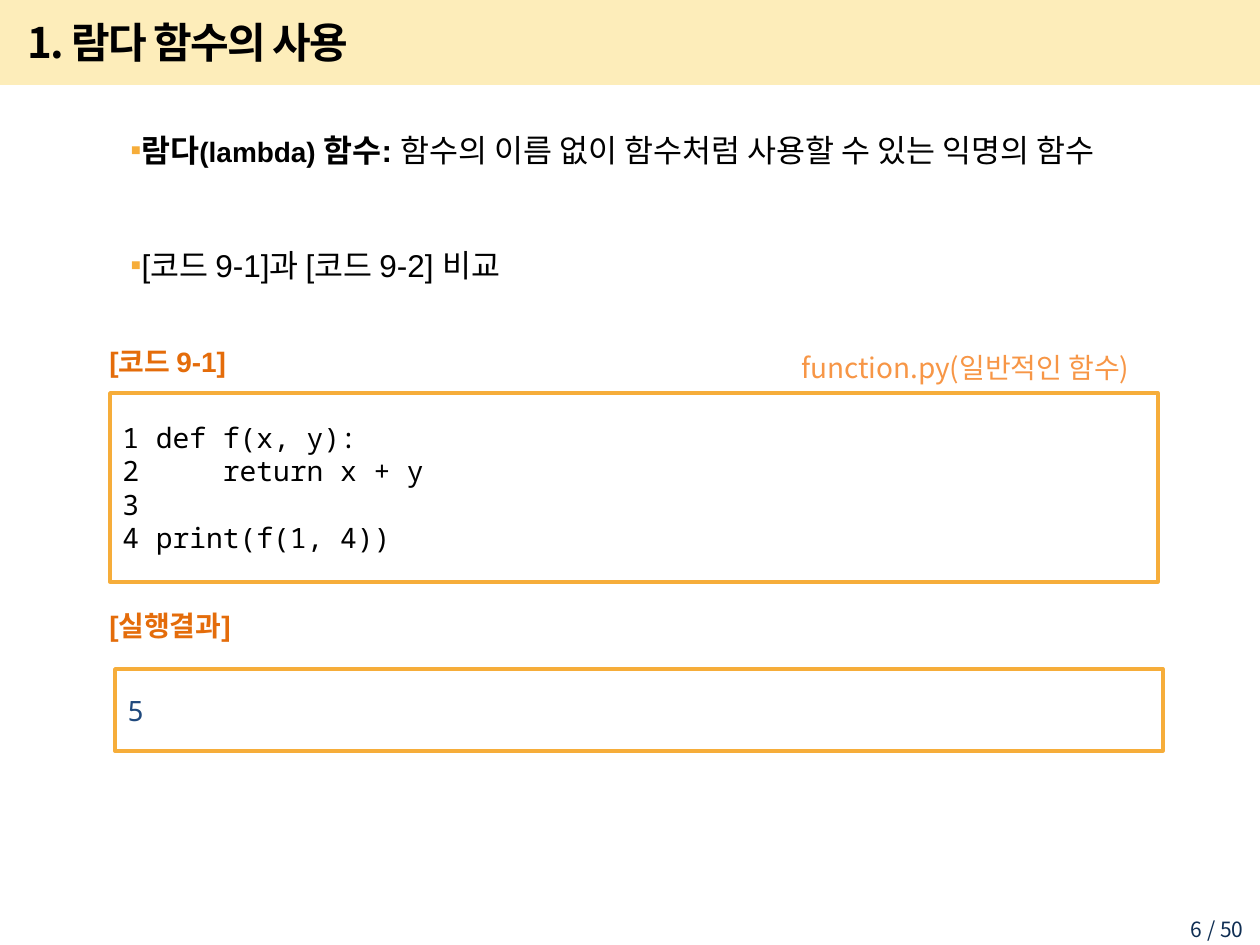
from dataclasses import dataclass, field

from lxml.etree import SubElement
from pptx import Presentation
from pptx.dml.color import RGBColor
from pptx.enum.shapes import MSO_SHAPE
from pptx.enum.text import MSO_ANCHOR, PP_ALIGN
from pptx.oxml.ns import qn
from pptx.shapes.base import BaseShape
from pptx.slide import Slide
from pptx.util import Emu, Pt

EMU_PER_PX = 914400 // 126
COLORS = {
    "band": "FABE00",
    "accent": "F6AD3A",
    "label": "E46C0A",
    "file": "F79646",
    "result": "1F497D",
    "page": "0F2E53",
    "text": "000000",
}
HANGUL_FONT = "Noto Sans CJK KR"
CODE_FONT = "Noto Sans Mono"

TITLE = {"name": HANGUL_FONT, "size": Pt(24), "bold": True}
BODY = {"name": "Arial", "size": Pt(18), "bold": False}
TERM = BODY | {"bold": True}
LABEL = {"name": "Arial", "size": Pt(16), "bold": True}
CODE = {"name": CODE_FONT, "size": Pt(16)}
FILE = {"name": HANGUL_FONT, "size": Pt(16)}
PAGE = {"name": HANGUL_FONT, "size": Pt(12)}


@dataclass
class Run:
    text: str
    style: dict
    color: str = "text"
    tracking: int = 0


@dataclass
class Block:
    """A text area; each entry of lines is one paragraph of runs."""
    left: int
    top: int
    width: int
    height: int
    lines: list[list[Run]]
    framed: bool = False
    bulleted: bool = False
    frame: dict = field(default_factory=lambda: {"vertical_anchor": MSO_ANCHOR.MIDDLE})
    paragraph: dict = field(default_factory=lambda: {"alignment": PP_ALIGN.LEFT})
    gap: int = 0


BLOCKS = [
    Block(1140, 910, 116, 29, [[Run("6 / 50", PAGE, "page")]],
          frame={"vertical_anchor": MSO_ANCHOR.TOP},
          paragraph={"alignment": PP_ALIGN.RIGHT}),
    Block(15, 9, 1072, 66, [[Run("1. 람다 함수의 사용", TITLE, tracking=-100)]]),
    Block(44, 106, 1171, 814, [
        [Run("람다", TERM), Run("(lambda) ", TERM | {"size": Pt(16)}),
         Run("함수: ", TERM),
         Run("함수의 이름 없이 함수처럼 사용할 수 있는 익명의 함수", BODY)],
        [Run("[코드 9-1]과 [코드 9-2] 비교", BODY)],
    ], bulleted=True, frame={"vertical_anchor": MSO_ANCHOR.TOP},
        paragraph={"line_spacing": 1.5}, gap=33),
    Block(110, 393, 1048, 189, [
        [Run(line, CODE)] for line in
        ("1 def f(x, y):", "2     return x + y", "3", "4 print(f(1, 4))")
    ], framed=True),
    Block(97, 330, 198, 63, [[Run("[코드 9-1]", LABEL, "label")]]),
    Block(97, 591, 198, 69, [[Run("[실행결과]", LABEL, "label")]]),
    Block(115, 669, 1048, 82, [[Run("5", CODE, "result")]], framed=True),
    Block(789, 344, 373, 47, [[Run("function.py(일반적인 함수)", FILE, "file")]],
          frame={"vertical_anchor": MSO_ANCHOR.TOP}),
]


def px(length: int) -> Emu:
    return Emu(length * EMU_PER_PX)


def rgb(name: str) -> RGBColor:
    return RGBColor.from_string(COLORS[name])


def apply(target: object, values: dict) -> None:
    for name, value in values.items():
        setattr(target, name, value)


def add_rectangle(slide: Slide, left: int, top: int, width: int, height: int) -> BaseShape:
    rectangle = slide.shapes.add_shape(
        MSO_SHAPE.RECTANGLE, px(left), px(top), px(width), px(height))
    rectangle.shadow.inherit = False
    return rectangle


def add_title_band(slide: Slide) -> None:
    band = add_rectangle(slide, 0, 0, 1260, 85)
    band.line.fill.background()
    band.fill.solid()
    band.fill.fore_color.rgb = rgb("band")
    tint = band.fill._xPr.find(f".//{qn('a:srgbClr')}")
    SubElement(tint, qn("a:alpha"), val="27000")


def add_bullet(paragraph) -> None:
    properties = paragraph._p.get_or_add_pPr()
    properties.set("marL", str(px(49)))
    properties.set("indent", str(px(25)))
    tint = SubElement(properties, qn("a:buClr"))
    SubElement(tint, qn("a:srgbClr"), val=COLORS["accent"])
    SubElement(properties, qn("a:buFont"), typeface="Arial")
    SubElement(properties, qn("a:buChar"), char="▪")


def add_run(paragraph, part: Run) -> None:
    run = paragraph.add_run()
    run.text = part.text
    apply(run.font, part.style)
    run.font.color.rgb = rgb(part.color)
    properties = run._r.get_or_add_rPr()
    SubElement(properties, qn("a:ea"), typeface=HANGUL_FONT)
    if part.tracking:
        properties.set("spc", str(part.tracking))


def add_block(slide: Slide, block: Block) -> None:
    place = block.left, block.top, block.width, block.height
    if block.framed:
        area = add_rectangle(slide, *place)
        area.fill.background()
        area.line.color.rgb = rgb("accent")
        area.line.width = Pt(2)
    else:
        area = slide.shapes.add_textbox(*map(px, place))
    frame = area.text_frame
    apply(frame, {"word_wrap": True} | block.frame)
    for index, runs in enumerate(block.lines):
        paragraph = frame.add_paragraph() if index else frame.paragraphs[0]
        if block.bulleted:
            add_bullet(paragraph)
        apply(paragraph, block.paragraph)
        if index and block.gap:
            paragraph.space_before = Pt(block.gap)
        for part in runs:
            add_run(paragraph, part)


def main() -> None:
    deck = Presentation()
    apply(deck, {"slide_width": px(1260), "slide_height": px(945)})
    slide = deck.slides.add_slide(deck.slide_layouts[6])
    add_title_band(slide)
    for block in BLOCKS:
        add_block(slide, block)
    deck.save("out.pptx")


if __name__ == "__main__":
    main()
